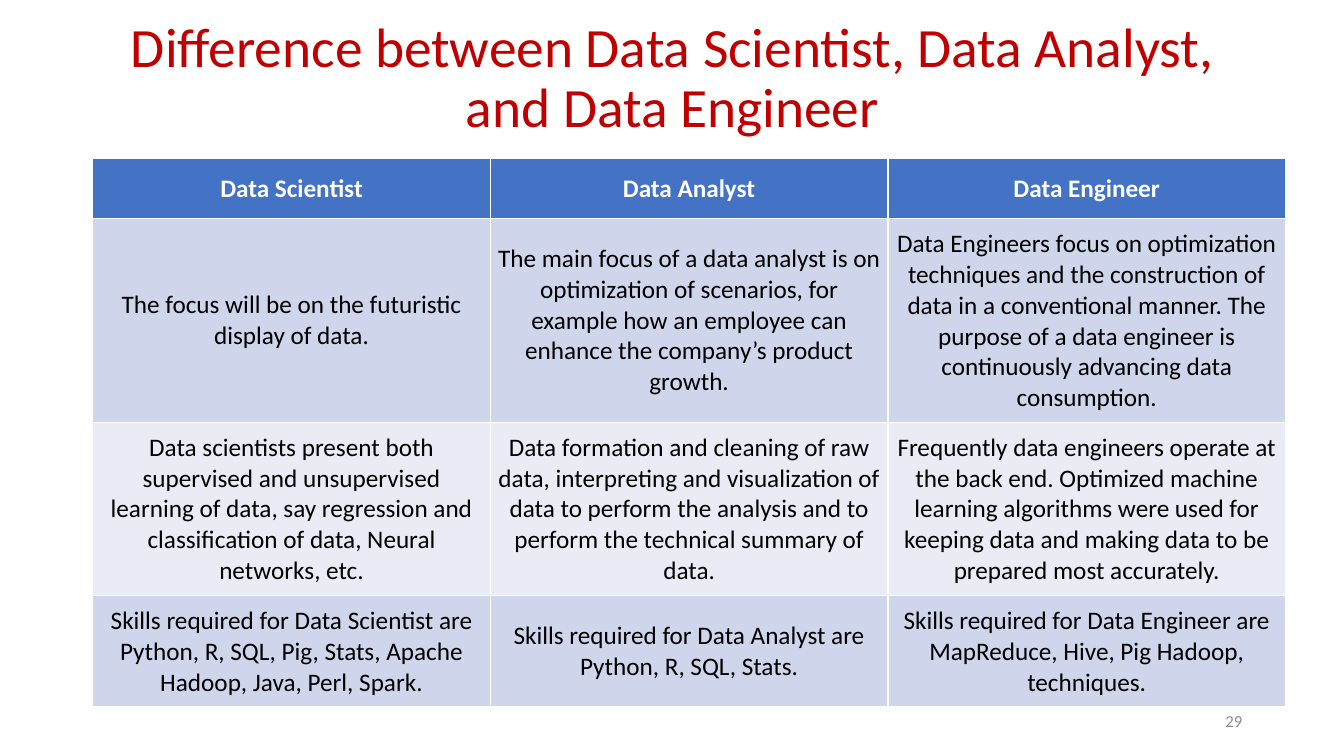
from dataclasses import dataclass

from lxml import etree
from pptx import Presentation
from pptx.dml.color import RGBColor
from pptx.enum.text import MSO_ANCHOR, PP_ALIGN
from pptx.oxml.ns import qn
from pptx.util import Inches, Pt

CENTER, RIGHT = PP_ALIGN.CENTER, PP_ALIGN.RIGHT
MIDDLE = MSO_ANCHOR.MIDDLE


@dataclass(frozen=True)
class Theme:
    font: str = "Calibri"
    title: str = "C00000"
    header_fill: str = "4472C4"
    header_text: str = "FFFFFF"
    band_dark: str = "CFD5EA"
    band_light: str = "E9EBF5"
    body_text: str = "000000"
    border: str = "FFFFFF"
    number: str = "8C8C8C"
    title_size: float = 39.6
    table_size: float = 18
    number_size: float = 12


THEME = Theme()


def write_text(frame, text, *, size, color, align=CENTER, bold=False, line_spacing=1.0):
    frame.word_wrap = True
    paragraph = frame.paragraphs[0]
    paragraph.alignment = align
    paragraph.line_spacing = line_spacing
    run = paragraph.add_run()
    run.text = text
    run.font.name = THEME.font
    run.font.size = Pt(size)
    run.font.bold = bold
    run.font.color.rgb = RGBColor.from_string(color)


def add_borders(cell, color, width):
    properties = cell._tc.get_or_add_tcPr()
    for side in ("a:lnL", "a:lnR", "a:lnT", "a:lnB"):
        line = etree.SubElement(properties, qn(side), w=str(Pt(width)))
        fill = etree.SubElement(line, qn("a:solidFill"))
        etree.SubElement(fill, qn("a:srgbClr"), val=color)


presentation = Presentation()
presentation.slide_width = Inches(13.33)
presentation.slide_height = Inches(7.5)
slide = presentation.slides.add_slide(presentation.slide_layouts[6])

# Title
title = slide.shapes.add_textbox(Inches(0.92), Inches(0.06), Inches(11.5), Inches(1.45))
title.text_frame.vertical_anchor = MIDDLE
write_text(
    title.text_frame,
    "Difference between Data Scientist, Data Analyst, and Data Engineer",
    size=THEME.title_size, color=THEME.title, line_spacing=0.9,
)

# Comparison table
ROWS = [
    ("Data Scientist", "Data Analyst", "Data Engineer"),
    (
        "The focus will be on the futuristic display of data.",
        "The main focus of a data analyst is on optimization of scenarios, for example "
        "how an employee can enhance the company’s product growth.",
        "Data Engineers focus on optimization techniques and the construction of data "
        "in a conventional manner. The purpose of a data engineer is continuously "
        "advancing data consumption.",
    ),
    (
        "Data scientists present both supervised and unsupervised learning of data, "
        "say regression and classification of data, Neural networks, etc.",
        "Data formation and cleaning of raw data, interpreting and visualization of "
        "data to perform the analysis and to perform the technical summary of data.",
        "Frequently data engineers operate at the back end. Optimized machine learning "
        "algorithms were used for keeping data and making data to be prepared most "
        "accurately.",
    ),
    (
        "Skills required for Data Scientist are Python, R, SQL, Pig, Stats, Apache "
        "Hadoop, Java, Perl, Spark.",
        "Skills required for Data Analyst are Python, R, SQL, Stats.",
        "Skills required for Data Engineer are MapReduce, Hive, Pig Hadoop, techniques.",
    ),
]
ROW_HEIGHTS = (0.6, 2.02, 1.72, 1.1)
ROW_FILLS = (THEME.header_fill, THEME.band_dark, THEME.band_light, THEME.band_dark)

table = slide.shapes.add_table(
    len(ROWS), len(ROWS[0]),
    Inches(0.92), Inches(1.57), Inches(11.83), Inches(sum(ROW_HEIGHTS)),
).table

for row_index, (texts, height, fill) in enumerate(zip(ROWS, ROW_HEIGHTS, ROW_FILLS)):
    is_header = row_index == 0
    table.rows[row_index].height = Inches(height)
    for column_index, text in enumerate(texts):
        cell = table.cell(row_index, column_index)
        cell.vertical_anchor = MIDDLE
        cell.margin_left = cell.margin_right = Inches(0.07)
        cell.margin_top = cell.margin_bottom = Inches(0.07 if is_header else 0.1)
        add_borders(cell, THEME.border, 1)
        cell.fill.solid()
        cell.fill.fore_color.rgb = RGBColor.from_string(fill)
        write_text(
            cell.text_frame, text, size=THEME.table_size, bold=is_header,
            color=THEME.header_text if is_header else THEME.body_text,
        )

# Slide number
number = slide.shapes.add_textbox(Inches(9.42), Inches(6.95), Inches(3), Inches(0.4))
number.text_frame.vertical_anchor = MIDDLE
write_text(number.text_frame, "29", size=THEME.number_size, color=THEME.number, align=RIGHT)

presentation.save("out.pptx")
